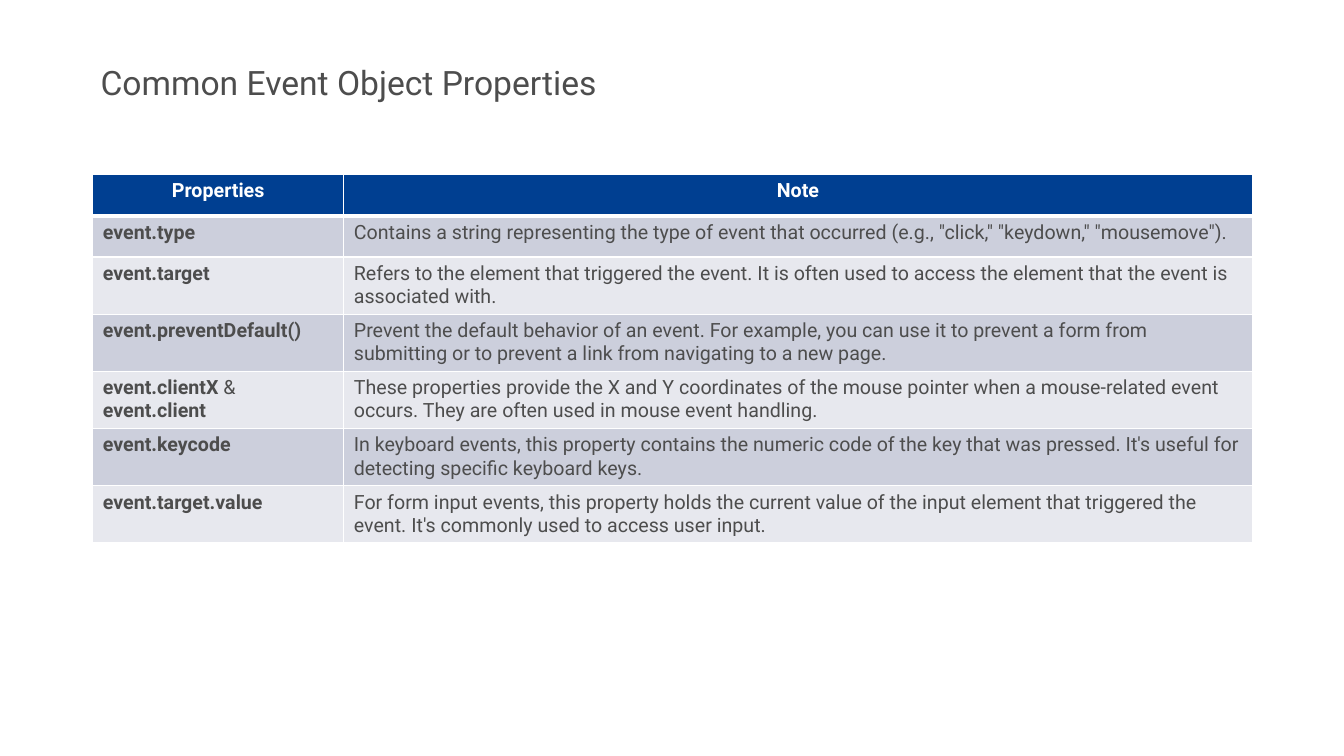
import pptx
import pptx.dml.color
import pptx.enum.text
import pptx.oxml.ns
import pptx.util
from lxml import etree
from pptx.util import Inches

# Content: each cell is a list of (text, bold) runs
TITLE = "Common Event Object Properties"
HEADINGS = [[("Properties", True)], [("Note", True)]]
PROPERTIES = [
    ([("event.type", True)],
     'Contains a string representing the type of event that occurred (e.g., "click," "keydown," "mousemove").'),
    ([("event.target", True)],
     "Refers to the element that triggered the event. It is often used to access the element "
     "that the event is associated with."),
    ([("event.preventDefault()", True)],
     "Prevent the default behavior of an event. For example, you can use it to prevent a form "
     "from submitting or to prevent a link from navigating to a new page."),
    ([("event.clientX", True), (" & ", False), ("event.client", True)],
     "These properties provide the X and Y coordinates of the mouse pointer when a mouse-related "
     "event occurs. They are often used in mouse event handling."),
    ([("event.keycode", True)],
     "In keyboard events, this property contains the numeric code of the key that was pressed. "
     "It's useful for detecting specific keyboard keys."),
    ([("event.target.value", True)],
     "For form input events, this property holds the current value of the input element that "
     "triggered the event. It's commonly used to access user input."),
]

# Format
FONT = "Roboto"
INK, WHITE, HEADER_BLUE = "4D4D4D", "FFFFFF", "003F91"
BANDS = ["CCCFDC", "E7E8EE"]
COLUMN_WIDTHS = [2.49, 9.01]
ROW_HEIGHT = 0.41
THIN, THICK = 1, 3
ALIGN = pptx.enum.text.PP_ALIGN


def rgb(value):
    return pptx.dml.color.RGBColor.from_string(value)


def add_run(paragraph, text, size, color, bold=False):
    run = paragraph.add_run()
    run.text = text
    formats = {"name": FONT, "size": pptx.util.Pt(size), "bold": bold}
    for attribute, value in formats.items():
        setattr(run.font, attribute, value)
    run.font.color.rgb = rgb(color)


def set_borders(cell, widths):
    """Draw white borders; widths maps L, R, T, B to points."""
    qn = pptx.oxml.ns.qn
    properties = cell._tc.get_or_add_tcPr()
    for position, side in enumerate("LRTB"):
        line = etree.Element(qn(f"a:ln{side}"), w=str(pptx.util.Pt(widths[side])))
        fill = etree.SubElement(line, qn("a:solidFill"))
        etree.SubElement(fill, qn("a:srgbClr"), val=WHITE)
        properties.insert(position, line)


def fill_cell(cell, runs, fill, color, align):
    cell.fill.solid()
    cell.fill.fore_color.rgb = rgb(fill)
    paragraph = cell.text_frame.paragraphs[0]
    paragraph.alignment = align
    for text, bold in runs:
        add_run(paragraph, text, 14, color, bold)


def main():
    deck = pptx.Presentation()
    deck.slide_width, deck.slide_height = Inches(13.33), Inches(7.5)
    slide = deck.slides.add_slide(deck.slide_layouts[6])

    # Title
    title = slide.shapes.add_textbox(Inches(0.9), Inches(0.6), Inches(7.03), Inches(0.47)).text_frame
    title.word_wrap = True
    title.vertical_anchor = pptx.enum.text.MSO_ANCHOR.MIDDLE
    title.paragraphs[0].line_spacing = 0.9
    add_run(title.paragraphs[0], TITLE, 24, INK)

    # Property table
    rows = [HEADINGS] + [[label, [(note, False)]] for label, note in PROPERTIES]
    table = slide.shapes.add_table(
        len(rows), len(COLUMN_WIDTHS), Inches(0.92), Inches(1.73),
        Inches(sum(COLUMN_WIDTHS)), Inches(ROW_HEIGHT * len(rows))).table
    for column, width in zip(table.columns, COLUMN_WIDTHS):
        column.width = Inches(width)

    for r, row in enumerate(rows):
        table.rows[r].height = Inches(ROW_HEIGHT)
        if r == 0:
            look = (HEADER_BLUE, WHITE, ALIGN.CENTER)
        else:
            look = (BANDS[(r - 1) % 2], INK, ALIGN.LEFT)
        # The thick rule lies between the header and the first row
        widths = {"L": THIN, "R": THIN,
                  "T": THICK if r == 1 else THIN,
                  "B": THICK if r == 0 else THIN}
        for c, runs in enumerate(row):
            fill_cell(table.cell(r, c), runs, *look)
            set_borders(table.cell(r, c), widths)

    deck.save("out.pptx")


if __name__ == "__main__":
    main()
